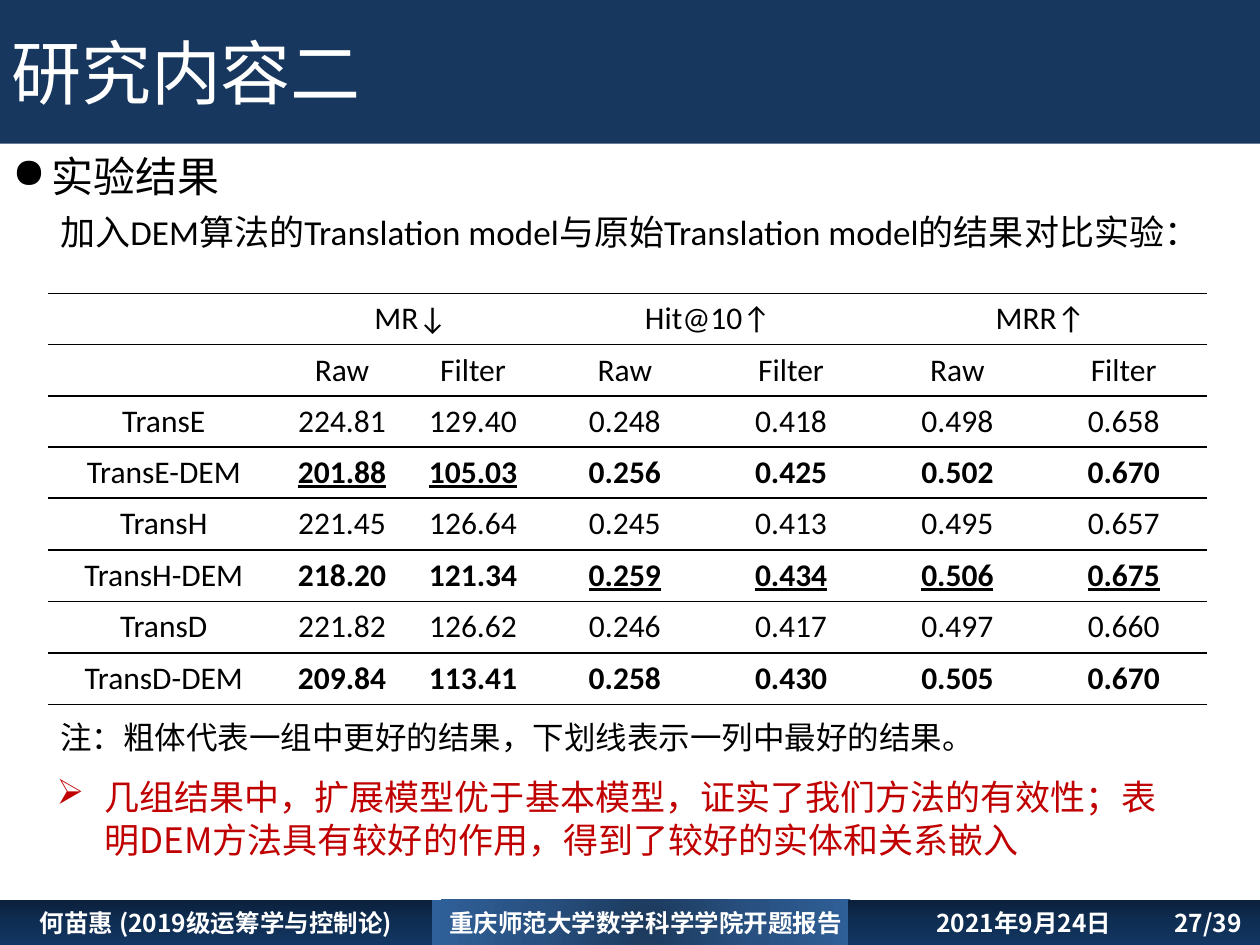
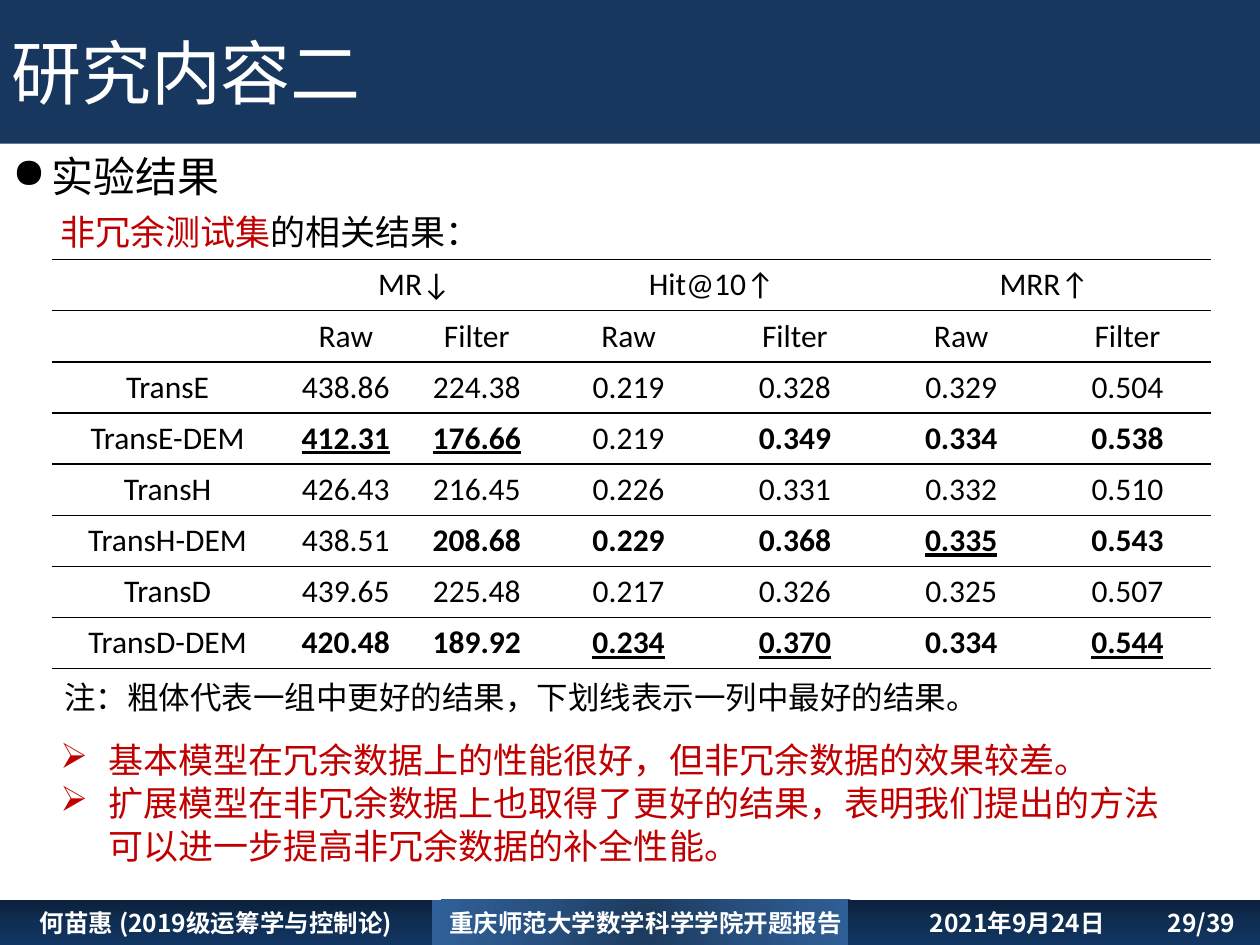
"""Build two result slides comparing translation models with their DEM extensions."""
from dataclasses import dataclass

import lxml.etree
import pptx
import pptx.dml.color
import pptx.enum.shapes
import pptx.enum.text
import pptx.oxml
import pptx.oxml.ns
import pptx.util

COLORS = {
    "navy": "17375E", "white": "FFFFFF", "black": "000000", "red": "C00000",
    "dark_start": "0B203B", "dark_middle": "0F2E53", "dark_end": "123663",
    "blue_start": "1C395B", "blue_middle": "285181", "blue_end": "306099",
}
CHINESE = "Noto Sans CJK SC"
LATIN = "Calibri"
GRID_COLUMNS, GRID_ROWS = 100, 75
SLIDE_WIDTH, SLIDE_HEIGHT = pptx.util.Inches(10), pptx.util.Inches(7.5)
LINE_HEIGHT = 1.22
LEFT = pptx.enum.text.PP_ALIGN.LEFT
CENTER = pptx.enum.text.PP_ALIGN.CENTER
LINEAR = '<a:lin ang="5400000" scaled="0"/>'
RADIAL = '<a:path path="circle"><a:fillToRect l="50000" t="50000" r="50000" b="50000"/></a:path>'
TABLE_COLUMNS = (18.4, 9.9, 10.9, 13.2, 13.2, 13.2, 13.2)
MEASURES = ("MR↓", "Hit@10↑", "MRR↑")
MODELS = ("TransE", "TransE-DEM", "TransH", "TransH-DEM", "TransD", "TransD-DEM")
NOTE = "注：粗体代表一组中更好的结果，下划线表示一列中最好的结果。"


@dataclass(frozen=True)
class Area:
    """Hold a rectangle in grid columns and rows."""
    left: float
    top: float
    width: float
    height: float


@dataclass(frozen=True)
class Band:
    """Describe one part of the footer."""
    area: Area
    tone: str
    direction: str
    text: str


@dataclass(frozen=True)
class ResultPage:
    """Describe what differs from one result slide to the next."""
    number: str
    footer_inset: float
    lead: tuple[tuple[str, str], ...]
    lead_font: str
    table_corner: tuple[float, float]
    row_heights: tuple[float, ...]
    results: tuple[str, ...]
    note: Area
    findings_area: Area
    findings: tuple[str, ...]


TITLE_AREA = Area(-0.1, -0.1, 100.1, 11.5)
HEADING_AREA = Area(0, 11.4, 18.5, 5)
LEAD_AREA = Area(3.8, 16.2, 94.9, 4.4)
DATE_TAB = 18.9
BANDS = (
    Band(Area(0, 71.4, 34.3, 3.6), "dark", LINEAR, "何苗惠 (2019级运筹学与控制论)"),
    Band(Area(34.3, 71.4, 33.9, 3.6), "blue", RADIAL, "重庆师范大学数学科学学院开题报告"),
)
DATE_BAND = Band(Area(67.3, 71.4, 32.7, 3.6), "dark", LINEAR, "2021年9月24日")

PAGES = (
    ResultPage(
        "27/39", 7,
        (("加入DEM算法的Translation model与原始Translation model的结果对比实验：", "black"),), LATIN,
        (3.8, 23.3), (4,) * 4 + (4.1,) * 4,
        ("224.81 129.40 0.248 0.418 0.498 0.658",
         "201.88 105.03 0.256 0.425 0.502 0.670",
         "221.45 126.64 0.245 0.413 0.495 0.657",
         "218.20 121.34 0.259 0.434 0.506 0.675",
         "221.82 126.62 0.246 0.417 0.497 0.660",
         "209.84 113.41 0.258 0.430 0.505 0.670"),
        Area(3.8, 56.4, 74.5, 4), Area(3.5, 61, 90.8, 7.7),
        ("几组结果中，扩展模型优于基本模型，证实了我们方法的有效性；表明DEM方法具有较好的作用，得到了较好的实体和关系嵌入",)),
    ResultPage(
        "29/39", 6.5,
        (("非冗余测试集", "red"), ("的相关结果：", "black")), CHINESE,
        (4.1, 20.6), (4,) * 8,
        ("438.86 224.38 0.219 0.328 0.329 0.504",
         "412.31 176.66 0.219 0.349 0.334 0.538",
         "426.43 216.45 0.226 0.331 0.332 0.510",
         "438.51 208.68 0.229 0.368 0.335 0.543",
         "439.65 225.48 0.217 0.326 0.325 0.507",
         "420.48 189.92 0.234 0.370 0.334 0.544"),
        Area(4.1, 53.3, 74.5, 4), Area(3.8, 58.1, 90.8, 11.1),
        ("基本模型在冗余数据上的性能很好，但非冗余数据的效果较差。",
         "扩展模型在非冗余数据上也取得了更好的结果，表明我们提出的方法可以进一步提高非冗余数据的补全性能。")),
)


def across(columns: float) -> int:
    """Convert grid columns to a length."""
    return round(SLIDE_WIDTH * columns / GRID_COLUMNS)


def down(rows: float) -> int:
    """Convert grid rows to a length."""
    return round(SLIDE_HEIGHT * rows / GRID_ROWS)


def place(area: Area) -> tuple[int, int, int, int]:
    """Convert an area to left, top, width and height."""
    return across(area.left), down(area.top), across(area.width), down(area.height)


def color(name: str) -> pptx.dml.color.RGBColor:
    """Look up a named colour."""
    return pptx.dml.color.RGBColor.from_string(COLORS[name])


def xml(markup: str) -> lxml.etree._Element:
    """Parse drawing markup whose root element carries no namespace yet."""
    name, rest = markup[1:].split(">", 1) if " " not in markup.split(">")[0] else markup[1:].split(" ", 1)
    joint = " " if " " in markup.split(">")[0] else ">"
    return pptx.oxml.parse_xml(f"<{name} {pptx.oxml.ns.nsdecls('a')}{joint}{rest}")


def write(para, text: str, *, size: float, font: str = CHINESE, tint: str = "black",
          bold: bool = False, underline: bool = False, align=LEFT, tight: bool = False,
          bullet: str = "", indent: float = 0) -> None:
    """Add a formatted span of text to a paragraph."""
    para.alignment = align
    if tight:
        para.line_spacing = pptx.util.Pt(round(size * LINE_HEIGHT, 1))
    if bullet:
        properties = para._p.get_or_add_pPr()
        properties.set("marL", str(across(indent)))
        properties.set("indent", str(-across(indent)))
        properties.append(xml(f'<a:buChar char="{bullet}"/>'))
    span = para.add_run()
    span.text = text
    span.font.size = pptx.util.Pt(size)
    span.font.name = font
    span.font.bold = bold
    span.font.underline = underline
    span.font.color.rgb = color(tint)
    span._r.get_or_add_rPr().find(pptx.oxml.ns.qn("a:latin")).addnext(
        xml(f'<a:ea typeface="{CHINESE}"/>'))


def add_block(page, area: Area):
    """Add a borderless rectangle with vertically centred text."""
    block = page.shapes.add_shape(pptx.enum.shapes.MSO_SHAPE.RECTANGLE, *place(area))
    block.shadow.inherit = False
    block.line.fill.background()
    block.text_frame.word_wrap = True
    block.text_frame.vertical_anchor = pptx.enum.text.MSO_ANCHOR.MIDDLE
    return block


def add_band(page, band: Band):
    """Add a footer part with its gradient."""
    block = add_block(page, band.area)
    stops = "".join(
        f'<a:gs pos="{position}"><a:srgbClr val="{COLORS[f"{band.tone}_{step}"]}"/></a:gs>'
        for position, step in ((0, "start"), (50000, "middle"), (100000, "end")))
    block._element.spPr.find(pptx.oxml.ns.qn("a:prstGeom")).addnext(
        xml(f'<a:gradFill rotWithShape="1"><a:gsLst>{stops}</a:gsLst>{band.direction}</a:gradFill>'))
    return block


def add_frame(page, area: Area, wrap: bool = True):
    """Add a text box and return its text frame."""
    frame = page.shapes.add_textbox(*place(area)).text_frame
    frame.word_wrap = wrap
    return frame


def add_furniture(page, content: ResultPage) -> None:
    """Draw the title bar and the footer."""
    title = add_block(page, TITLE_AREA)
    title.fill.solid()
    title.fill.fore_color.rgb = color("navy")
    write(title.text_frame.paragraphs[0], "研究内容二", size=40, tint="white")
    for band in BANDS:
        write(add_band(page, band).text_frame.paragraphs[0], band.text,
              size=14, tint="white", bold=True, align=CENTER)
    frame = add_band(page, DATE_BAND).text_frame
    frame.margin_left, frame.margin_right = across(content.footer_inset), 0
    para = frame.paragraphs[0]
    write(para, f"{DATE_BAND.text}\t{content.number}", size=14, tint="white", bold=True)
    para._p.get_or_add_pPr().append(
        xml(f'<a:tabLst><a:tab pos="{across(DATE_TAB)}" algn="l"/></a:tabLst>'))


def rule_cell(cell) -> None:
    """Give a cell a white fill with black rules above and below."""
    properties = cell._tc.get_or_add_tcPr()
    for side in ("L", "R"):
        properties.append(xml(f'<a:ln{side} w="0"><a:noFill/></a:ln{side}>'))
    for side in ("T", "B"):
        properties.append(xml(
            f'<a:ln{side} w="{pptx.util.Pt(1)}"><a:solidFill>'
            f'<a:srgbClr val="{COLORS["black"]}"/></a:solidFill></a:ln{side}>'))
    cell.fill.solid()
    cell.fill.fore_color.rgb = color("white")


def emphasis(results: list[list[str]], row: int, column: int) -> tuple[bool, bool]:
    """Tell whether an extended model beats its base model and its whole column."""
    sign = -1 if column < 2 else 1
    scores = [sign * float(line[column]) for line in results]
    better = row % 2 == 1 and scores[row] > scores[row - 1]
    return better, scores[row] == max(scores)


def add_results(page, content: ResultPage) -> None:
    """Draw the table of results."""
    results = [line.split() for line in content.results]
    area = Area(*content.table_corner, sum(TABLE_COLUMNS), sum(content.row_heights))
    table = page.shapes.add_table(len(content.row_heights), len(TABLE_COLUMNS), *place(area)).table
    table.first_row = table.horz_banding = False
    for column, width in zip(table.columns, TABLE_COLUMNS):
        column.width = across(width)
    for row, height in zip(table.rows, content.row_heights):
        row.height = down(height)
    for cell in table.iter_cells():
        rule_cell(cell)

    def fill(row: int, column: int, text: str, bold: bool = False, underline: bool = False) -> None:
        """Write one centred table entry."""
        write(table.cell(row, column).text_frame.paragraphs[0], text, size=18, font=LATIN,
              bold=bold, underline=underline, align=CENTER, tight=True)

    for index, measure in enumerate(MEASURES):
        first = 1 + 2 * index
        table.cell(0, first).merge(table.cell(0, first + 1))
        fill(0, first, measure)
        fill(1, first, "Raw")
        fill(1, first + 1, "Filter")
    for row, (model, values) in enumerate(zip(MODELS, results)):
        fill(row + 2, 0, model)
        for column, value in enumerate(values):
            fill(row + 2, column + 1, value, *emphasis(results, row, column))


def add_texts(page, content: ResultPage) -> None:
    """Draw the heading, lead, note and findings."""
    write(add_frame(page, HEADING_AREA, wrap=False).paragraphs[0], "实验结果",
          size=24, font=LATIN, tight=True, bullet="●", indent=3.1)
    lead = add_frame(page, LEAD_AREA).paragraphs[0]
    for text, tint in content.lead:
        write(lead, text, size=20, font=content.lead_font, tint=tint, tight=True)
    write(add_frame(page, content.note, wrap=False).paragraphs[0], NOTE, size=18, tight=True)
    frame = add_frame(page, content.findings_area)
    for index, finding in enumerate(content.findings):
        para = frame.add_paragraph() if index else frame.paragraphs[0]
        write(para, finding, size=20, tint="red", tight=True, bullet="➢", indent=3.8)


def main() -> None:
    """Build and save the deck."""
    deck = pptx.Presentation()
    deck.slide_width, deck.slide_height = SLIDE_WIDTH, SLIDE_HEIGHT
    for content in PAGES:
        page = deck.slides.add_slide(deck.slide_layouts[6])
        add_furniture(page, content)
        add_results(page, content)
        add_texts(page, content)
    deck.save("out.pptx")


if __name__ == "__main__":
    main()
